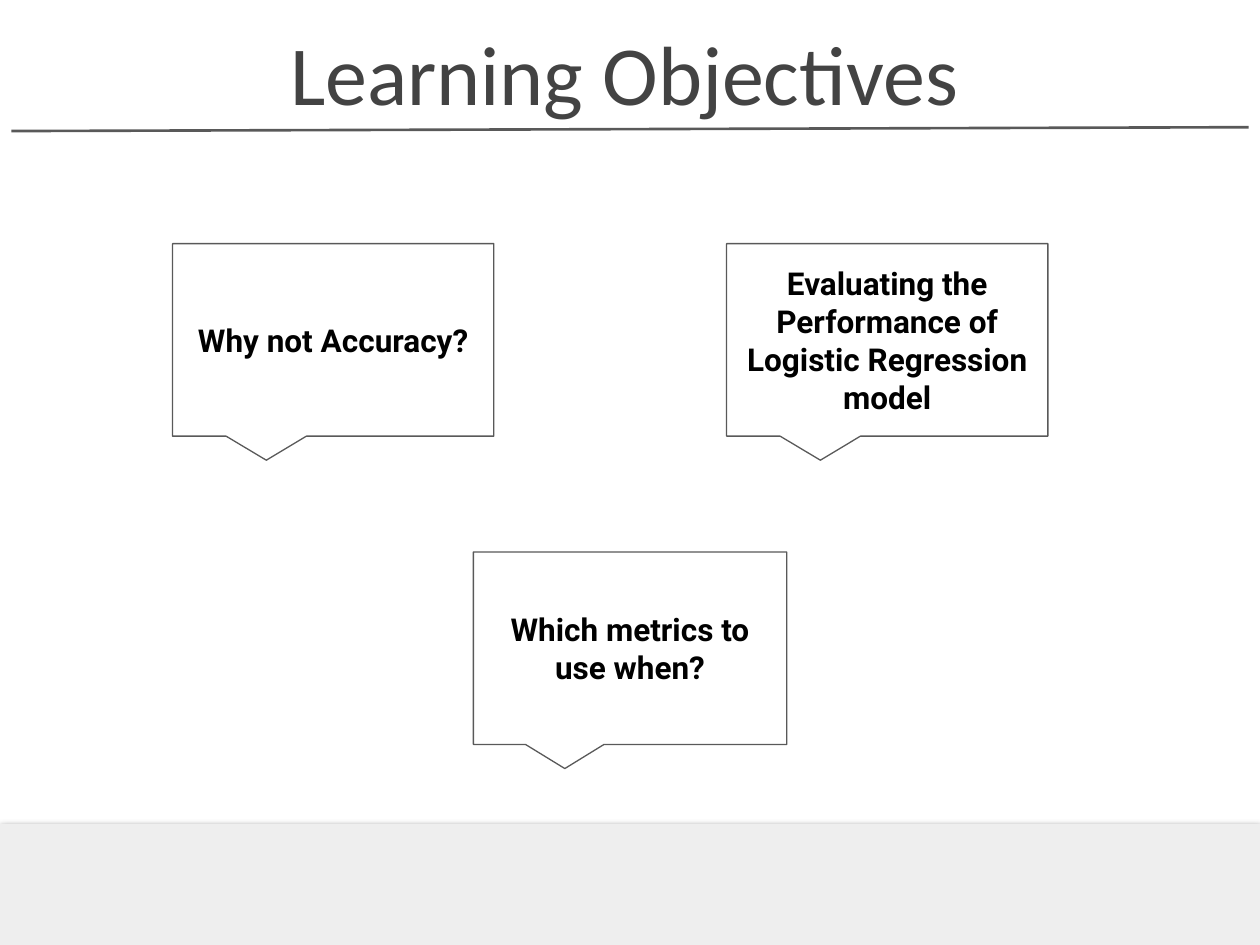
from lxml import etree
from pptx import Presentation
from pptx.dml.color import RGBColor
from pptx.enum.shapes import MSO_CONNECTOR, MSO_SHAPE
from pptx.enum.text import MSO_ANCHOR, PP_ALIGN
from pptx.oxml.ns import qn
from pptx.util import Pt

STRAIGHT = MSO_CONNECTOR.STRAIGHT
RECTANGLE = MSO_SHAPE.RECTANGLE
CALLOUT = MSO_SHAPE.ROUNDED_RECTANGULAR_CALLOUT
BOTTOM, MIDDLE = MSO_ANCHOR.BOTTOM, MSO_ANCHOR.MIDDLE
CENTER = PP_ALIGN.CENTER

BLACK = RGBColor(0x00, 0x00, 0x00)
TITLE_GRAY = RGBColor(0x43, 0x43, 0x43)
LINE_GRAY = RGBColor(0x59, 0x59, 0x59)
FOOTER_GRAY = RGBColor(0xEE, 0xEE, 0xEE)

SLIDE_WIDTH, SLIDE_HEIGHT = 720, 540
INSET = 7.2
CALLOUT_ADJUSTMENTS = (-0.208, 0.625, 0)
OBJECTIVES = [
    ("Which metrics to use when?", (270.5, 315.4, 179, 110)),
    ("Why not Accuracy?", (98.6, 139.2, 183.6, 110)),
    ("Evaluating the Performance of Logistic Regression model", (415.2, 139.2, 183.6, 110)),
]


def write_text(shape, text, anchor, font_name, size, color, bold=False):
    """Write one centred run inside a shape."""
    frame = shape.text_frame
    frame.word_wrap = True
    frame.vertical_anchor = anchor
    frame.margin_left = frame.margin_right = Pt(INSET)
    frame.margin_top = frame.margin_bottom = Pt(INSET)
    paragraph = frame.paragraphs[0]
    paragraph.alignment = CENTER
    run = paragraph.add_run()
    run.text = text
    run.font.name = font_name
    run.font.size = Pt(size)
    run.font.bold = bold
    run.font.color.rgb = color


def add_heading(slide, left, top, width, height):
    """Place the title and the rule that spans the slide below it."""
    rule = slide.shapes.add_connector(STRAIGHT, Pt(6.5), Pt(74.9), Pt(SLIDE_WIDTH - 6.5), Pt(72.7))
    rule.line.color.rgb = LINE_GRAY
    rule.line.width = Pt(1.5)
    etree.SubElement(rule._element.spPr, qn("a:effectLst"))
    title = slide.shapes.add_textbox(Pt(left), Pt(top), Pt(width), Pt(height))
    write_text(title, "Learning Objectives", BOTTOM, "Calibri", 48, TITLE_GRAY)


def add_footer(slide, left, top, width, height):
    """Place the footer band with its soft shadow."""
    band = slide.shapes.add_shape(RECTANGLE, Pt(left), Pt(top), Pt(width), Pt(height))
    band.fill.solid()
    band.fill.fore_color.rgb = FOOTER_GRAY
    band.line.fill.background()
    band.shadow.inherit = False
    effects = band._element.spPr.find(qn("a:effectLst"))
    shadow = etree.SubElement(effects, qn("a:outerShdw"), blurRad=str(Pt(4.5)),
                              dist=str(Pt(1.5)), dir="5400000", algn="bl", rotWithShape="0")
    shadow_color = etree.SubElement(shadow, qn("a:srgbClr"), val=str(BLACK))
    etree.SubElement(shadow_color, qn("a:alpha"), val="50000")


def add_objective(slide, text, left, top, width, height):
    """Place one objective in an outlined callout."""
    callout = slide.shapes.add_shape(CALLOUT, Pt(left), Pt(top), Pt(width), Pt(height))
    for index, adjustment in enumerate(CALLOUT_ADJUSTMENTS):
        callout.adjustments[index] = adjustment
    callout.fill.background()
    callout.line.color.rgb = LINE_GRAY
    callout.line.width = Pt(0.75)
    callout.shadow.inherit = False
    write_text(callout, text, MIDDLE, "Roboto", 18, BLACK, bold=True)


def main():
    """Build and save the slide."""
    presentation = Presentation()
    presentation.slide_width = Pt(SLIDE_WIDTH)
    presentation.slide_height = Pt(SLIDE_HEIGHT)
    slide = presentation.slides.add_slide(presentation.slide_layouts[6])
    add_footer(slide, 0, 470.9, SLIDE_WIDTH, 72.7)
    add_heading(slide, 93.6, 13.7, 526.3, 63.4)
    for text, box in OBJECTIVES:
        add_objective(slide, text, *box)
    presentation.save("out.pptx")


if __name__ == "__main__":
    main()
